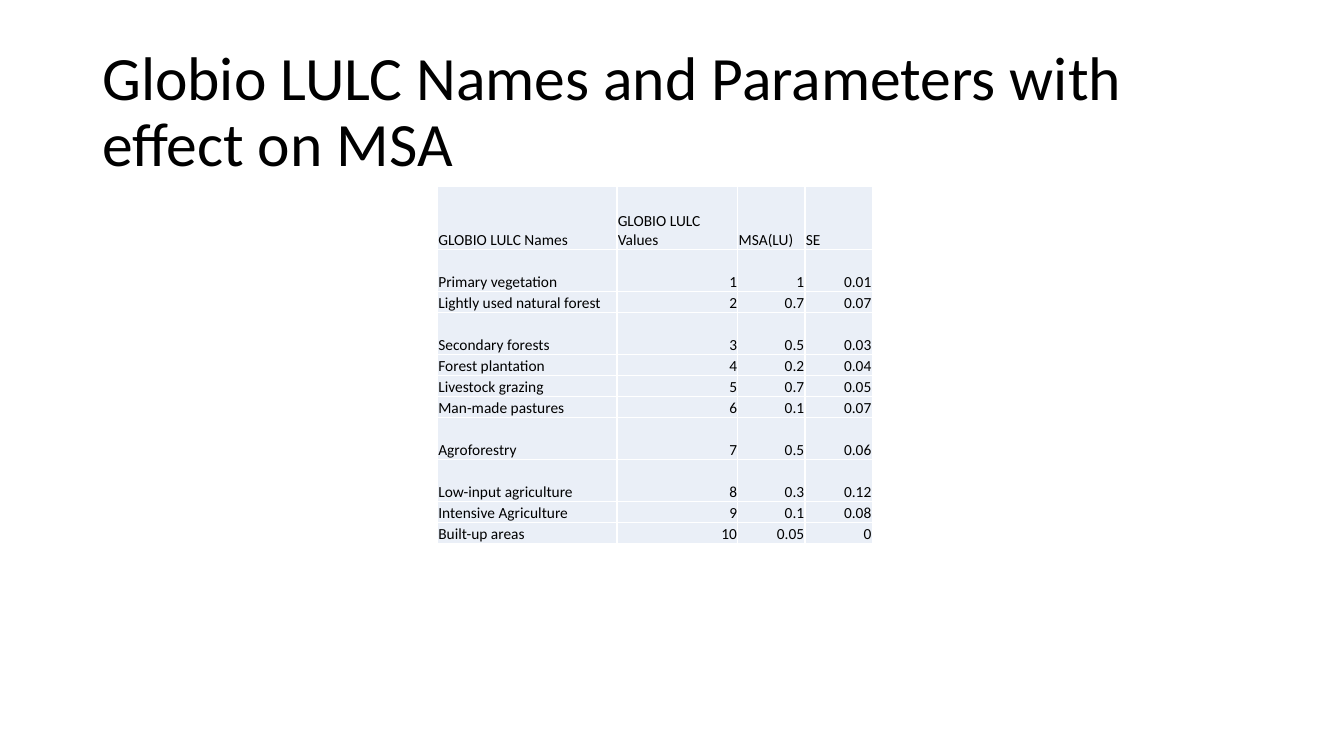
import pptx
import pptx.dml.color
import pptx.enum.text
import pptx.oxml
import pptx.oxml.ns
import pptx.util

Pt = pptx.util.Pt
Align = pptx.enum.text.PP_ALIGN
Anchor = pptx.enum.text.MSO_ANCHOR

BLACK = pptx.dml.color.RGBColor(0x00, 0x00, 0x00)
WHITE = pptx.dml.color.RGBColor(0xFF, 0xFF, 0xFF)
PALE_BLUE = pptx.dml.color.RGBColor(0xEA, 0xEF, 0xF7)

TITLE = "Globio LULC Names and Parameters with effect on MSA"
COLUMN_WIDTHS = (128.2, 86.4, 48, 48)
LINE_HEIGHT = 15
# Each row: height in text lines, then the cell texts
ROWS = (
    (3, "GLOBIO LULC Names", "GLOBIO LULC Values", "MSA(LU)", "SE"),
    (2, "Primary vegetation", "1", "1", "0.01"),
    (1, "Lightly used natural forest", "2", "0.7", "0.07"),
    (2, "Secondary forests", "3", "0.5", "0.03"),
    (1, "Forest plantation", "4", "0.2", "0.04"),
    (1, "Livestock grazing", "5", "0.7", "0.05"),
    (1, "Man-made pastures", "6", "0.1", "0.07"),
    (2, "Agroforestry", "7", "0.5", "0.06"),
    (2, "Low-input agriculture", "8", "0.3", "0.12"),
    (1, "Intensive Agriculture", "9", "0.1", "0.08"),
    (1, "Built-up areas", "10", "0.05", "0"),
)
CELL_FORMAT = {
    "vertical_anchor": Anchor.BOTTOM,
    "margin_left": Pt(0.6),
    "margin_right": Pt(0.6),
    "margin_top": Pt(0.6),
    "margin_bottom": 0,
}


def apply_format(target, values):
    for name, value in values.items():
        setattr(target, name, value)


def write_text(text_frame, text, size, alignment, line_spacing=1.0):
    paragraph = text_frame.paragraphs[0]
    apply_format(paragraph, {"alignment": alignment, "line_spacing": line_spacing})
    run = paragraph.add_run()
    run.text = text
    apply_format(run.font, {"name": "Calibri", "size": Pt(size), "bold": False})
    run.font.color.rgb = BLACK


def add_borders(cell, color, width):
    properties = cell._tc.get_or_add_tcPr()
    for side in ("lnL", "lnR", "lnT", "lnB"):
        properties.append(pptx.oxml.parse_xml(
            f'<a:{side} {pptx.oxml.ns.nsdecls("a")} w="{Pt(width)}">'
            f'<a:solidFill><a:srgbClr val="{color}"/></a:solidFill></a:{side}>'))


def add_title(slide, left, top, width, height):
    text_box = slide.shapes.add_textbox(Pt(left), Pt(top), Pt(width), Pt(height))
    apply_format(text_box.text_frame, {"word_wrap": True, "vertical_anchor": Anchor.MIDDLE})
    write_text(text_box.text_frame, TITLE, 44, Align.LEFT, 0.9)


def add_parameter_table(slide, left, top):
    width = sum(COLUMN_WIDTHS)
    height = sum(row[0] for row in ROWS) * LINE_HEIGHT
    table = slide.shapes.add_table(
        len(ROWS), len(COLUMN_WIDTHS), Pt(left), Pt(top), Pt(width), Pt(height)).table
    for column, column_width in zip(table.columns, COLUMN_WIDTHS):
        column.width = Pt(column_width)
    for row_index, (lines, *texts) in enumerate(ROWS):
        table.rows[row_index].height = Pt(lines * LINE_HEIGHT)
        for column_index, text in enumerate(texts):
            cell = table.cell(row_index, column_index)
            apply_format(cell, CELL_FORMAT)
            add_borders(cell, WHITE, 1)
            cell.fill.solid()
            cell.fill.fore_color.rgb = PALE_BLUE
            is_number = row_index > 0 and column_index > 0
            write_text(cell.text_frame, text, 11, Align.RIGHT if is_number else Align.LEFT)


def main():
    presentation = pptx.Presentation()
    apply_format(presentation, {"slide_width": Pt(960), "slide_height": Pt(540)})
    slide = presentation.slides.add_slide(presentation.slide_layouts[6])
    add_title(slide, 66, 28.75, 828, 104.4)
    add_parameter_table(slide, 312.5, 133.2)
    presentation.save("out.pptx")


if __name__ == "__main__":
    main()
